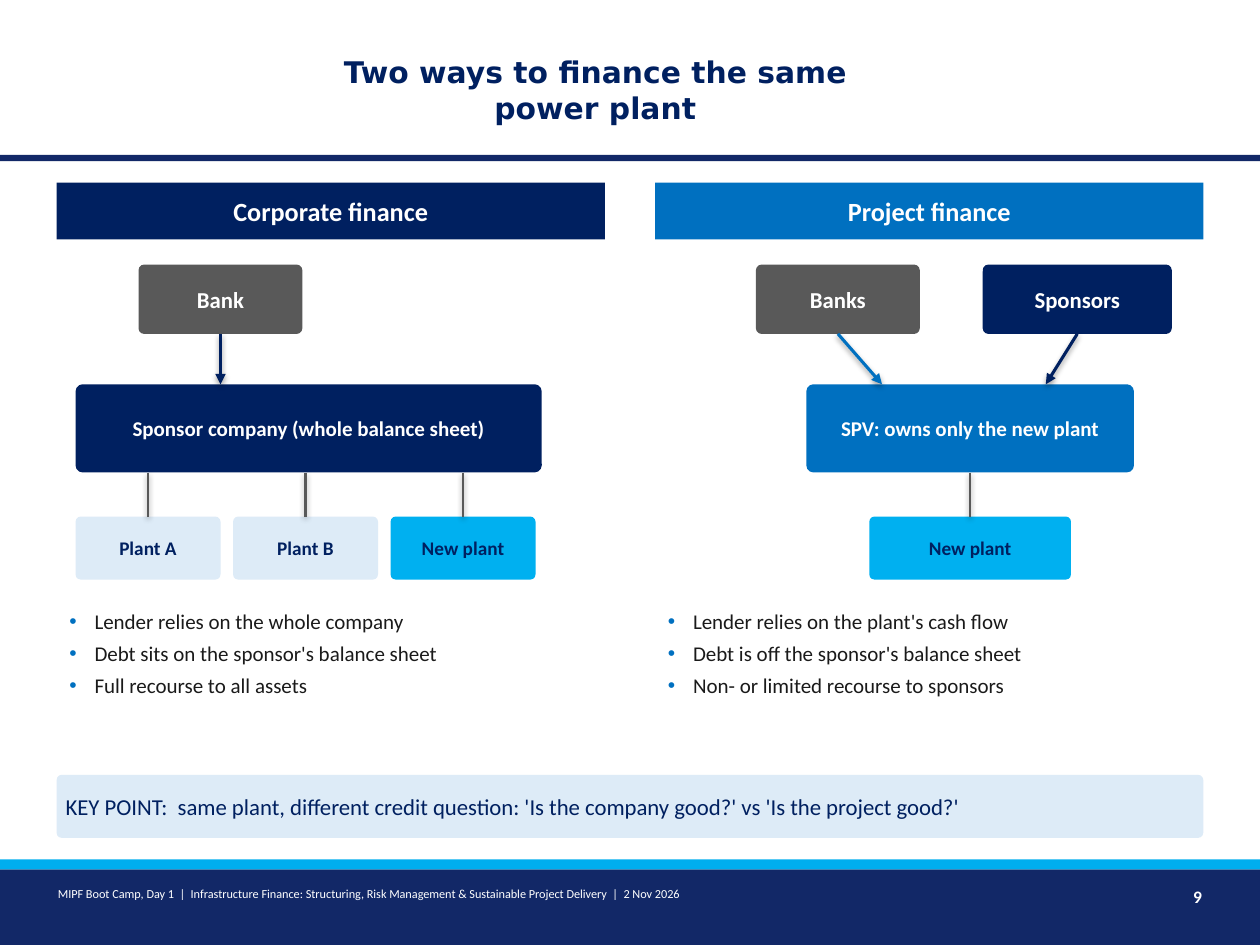
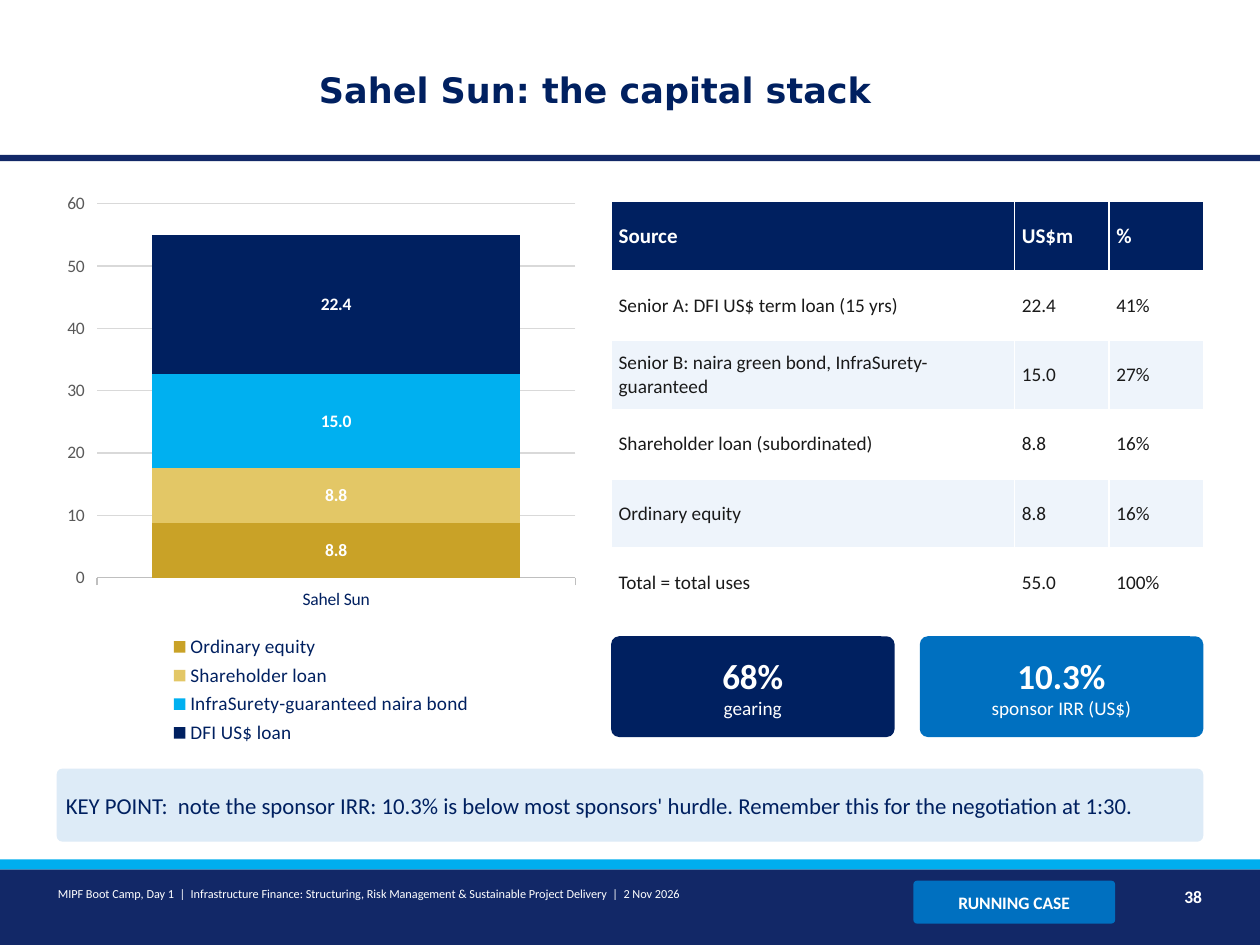
"""Builds two slides on corporate versus project finance and a capital stack."""
from dataclasses import dataclass

from lxml import etree
from pptx import Presentation
from pptx.chart.data import CategoryChartData
from pptx.dml.color import RGBColor
from pptx.enum import chart as charts, shapes, text
from pptx.oxml.ns import qn
from pptx.util import Pt


@dataclass(frozen=True)
class Theme:
    navy: str = "002060"
    band: str = "122867"
    stripe: str = "00AEEF"
    blue: str = "0070C0"
    sky: str = "00B0F0"
    pale: str = "DDEBF7"
    row_tint: str = "EEF4FB"
    grey: str = "595959"
    axis: str = "BFBFBF"
    grid: str = "D9D9D9"
    gold: str = "C9A227"
    sand: str = "E3C766"
    ink: str = "1A1A1A"
    white: str = "FFFFFF"
    title_font: str = "DejaVu Sans"
    font: str = "Calibri"
    footer: int = 7
    small: int = 10
    label: int = 11
    body: int = 12
    key: int = 13
    heading: int = 15
    figure: int = 20


T = Theme()
MARGIN, CONTENT_WIDTH = 32.4, 655.2
PANEL_WIDTH = 313.2
TITLE_BOX = (165.6, 15.84, 349.2, 70.56)
BANDS = [
    ((0, 88.56, 720, 3.6), T.band),
    ((0, 496.8, 720, 43.2), T.band),
    ((0, 491.04, 720, 5.76), T.stripe),
]
FOOTER = ("MIPF Boot Camp, Day 1  |  Infrastructure Finance: Structuring, "
          "Risk Management & Sustainable Project Delivery  |  2 Nov 2026")

TIERS = {
    "funder": (151.2, 39.6, T.key),
    "company": (219.6, 50.4, T.body),
    "plant": (295.2, 36, T.label),
}
PANELS = [
    {
        "left": MARGIN, "heading": "Corporate finance", "color": T.navy,
        "funders": [("Bank", 79.2, 93.6, T.grey, 126, T.navy)],
        "company": ("Sponsor company (whole balance sheet)", 43.2, 266.4),
        "plants": [("Plant A", 43.2, 82.8, T.pale),
                   ("Plant B", 133.2, 82.8, T.pale),
                   ("New plant", 223.2, 82.8, T.sky)],
        "points": ["Lender relies on the whole company",
                   "Debt sits on the sponsor's balance sheet",
                   "Full recourse to all assets"],
    },
    {
        "left": 374.4, "heading": "Project finance", "color": T.blue,
        "funders": [("Banks", 432, 93.6, T.grey, 504, T.blue),
                    ("Sponsors", 561.6, 108, T.navy, 597.6, T.navy)],
        "company": ("SPV: owns only the new plant", 460.8, 187.2),
        "plants": [("New plant", 496.8, 115.2, T.sky)],
        "points": ["Lender relies on the plant's cash flow",
                   "Debt is off the sponsor's balance sheet",
                   "Non- or limited recourse to sponsors"],
    },
]
FINANCE_KEY = ("KEY POINT:  same plant, different credit question: "
               "'Is the company good?' vs 'Is the project good?'")

STACK = [
    ("Ordinary equity", 8.8, T.gold),
    ("Shareholder loan", 8.8, T.sand),
    ("InfraSurety-guaranteed naira bond", 15.0, T.sky),
    ("DFI US$ loan", 22.4, T.navy),
]
SOURCES = [
    ("Source", "US$m", "%"),
    ("Senior A: DFI US$ term loan (15 yrs)", "22.4", "41%"),
    ("Senior B: naira green bond, InfraSurety-guaranteed", "15.0", "27%"),
    ("Shareholder loan (subordinated)", "8.8", "16%"),
    ("Ordinary equity", "8.8", "16%"),
    ("Total = total uses", "55.0", "100%"),
]
SOURCE_WIDTHS = (230.4, 54, 54)
ROW_HEIGHT = 39.6
RESULTS = [("68%", "gearing", T.navy), ("10.3%", "sponsor IRR (US$)", T.blue)]
STACK_KEY = ("KEY POINT:  note the sponsor IRR: 10.3% is below most sponsors' hurdle. "
             "Remember this for the negotiation at 1:30.")


def rgb(color):
    return RGBColor.from_string(color)


def points(values):
    return [Pt(value) for value in values]


def style_font(font, size, color, bold=False, name=T.font):
    font.name, font.size, font.bold = name, Pt(size), bold
    font.color.rgb = rgb(color)


def set_insets(target):
    target.margin_left = target.margin_right = Pt(4.32)
    target.margin_top = target.margin_bottom = Pt(2.16)


def write(shape, lines, align="LEFT", anchor="MIDDLE"):
    """Fill a shape with (text, size, color, bold) lines."""
    frame = shape.text_frame
    frame.word_wrap = True
    frame.vertical_anchor = text.MSO_ANCHOR[anchor]
    set_insets(frame)
    frame.text = "\n".join(line[0] for line in lines)
    for paragraph, line in zip(frame.paragraphs, lines):
        paragraph.alignment = text.PP_ALIGN[align]
        style_font(paragraph.font, *line[1:])


def add_box(slide, box, fill, lines=(), rounded=True, align="CENTER"):
    kind = shapes.MSO_SHAPE.ROUNDED_RECTANGLE if rounded else shapes.MSO_SHAPE.RECTANGLE
    shape = slide.shapes.add_shape(kind, *points(box))
    if rounded:
        shape.adjustments[0] = 0.08
    shape.shadow.inherit = False
    shape.fill.solid()
    shape.fill.fore_color.rgb = rgb(fill)
    shape.line.fill.background()
    if lines:
        write(shape, lines, align)
    return shape


def add_label(slide, box, line, align="LEFT"):
    write(slide.shapes.add_textbox(*points(box)), [line], align, "TOP")


def add_link(slide, upper, lower, color, width, start=None, end=None, arrow=False):
    """Join two boxes downwards; an end without a given x joins the middle of its side."""
    connector = slide.shapes.add_connector(
        shapes.MSO_CONNECTOR.STRAIGHT, Pt(start or 0), upper.top + upper.height,
        Pt(end or 0), lower.top)
    if start is None:
        connector.begin_connect(upper, 2)
    if end is None:
        connector.end_connect(lower, 0)
    connector.line.color.rgb = rgb(color)
    connector.line.width = Pt(width)
    if arrow:
        outline = connector.line._get_or_add_ln()
        etree.SubElement(outline, qn("a:tailEnd"), type="triangle")


def add_bands(master, slide):
    """Draw the shared bands and hand them to the slide master."""
    for number, (box, color) in enumerate(BANDS, start=100):
        band = add_box(slide, box, color, rounded=False)
        band.element.nvSpPr.cNvPr.set("id", str(number))
        master.shapes.element.append(band.element)


def place(shape, box):
    shape.left, shape.top, shape.width, shape.height = points(box)


def start_slide(presentation, layout, title, size, number):
    slide = presentation.slides.add_slide(presentation.slide_layouts.get_by_name(layout))
    heading = slide.shapes.title
    place(heading, TITLE_BOX)
    heading.text_frame.text = title
    heading.text_frame.auto_size = text.MSO_AUTO_SIZE.NONE
    heading.text_frame.vertical_anchor = text.MSO_ANCHOR.MIDDLE
    paragraph = heading.text_frame.paragraphs[0]
    paragraph.alignment = text.PP_ALIGN.CENTER
    style_font(paragraph.font, size, T.navy, True, T.title_font)
    add_label(slide, (28.8, 504, 489.6, 25.2), (FOOTER, T.footer, T.white))
    add_label(slide, (648, 504, 43.2, 25.2), (number, T.small, T.white, True), "RIGHT")
    return slide


def add_key_point(slide, top, height, message):
    add_box(slide, (MARGIN, top, CONTENT_WIDTH, height), T.pale,
            [(message, T.key, T.navy)], align="LEFT")


def fill_bullets(placeholder, left, items):
    place(placeholder, (left, 345.6, PANEL_WIDTH, 93.6))
    write(placeholder, [(item, T.body, T.ink) for item in items], anchor="TOP")
    placeholder.text_frame.auto_size = text.MSO_AUTO_SIZE.NONE
    for paragraph in placeholder.text_frame.paragraphs:
        properties = paragraph._p.get_or_add_pPr()
        properties.set("marL", str(Pt(17.28)))
        properties.set("indent", str(Pt(-14.4)))
        bullet_color = etree.Element(qn("a:buClr"))
        etree.SubElement(bullet_color, qn("a:srgbClr"), val=T.blue)
        bullet = etree.Element(qn("a:buChar"), char="•")
        for position, element in enumerate((bullet_color, bullet)):
            properties.insert(position, element)
        paragraph.space_before, paragraph.space_after = Pt(0), Pt(4)


def add_node(slide, tier, label, left, width, fill, color=T.white):
    top, height, size = TIERS[tier]
    return add_box(slide, (left, top, width, height), fill, [(label, size, color, True)])


def draw_panel(slide, panel, placeholder):
    add_box(slide, (panel["left"], 104.4, PANEL_WIDTH, 32.4), panel["color"],
            [(panel["heading"], T.heading, T.white, True)], rounded=False)
    company = add_node(slide, "company", *panel["company"], panel["color"])
    for *node, end, color in panel["funders"]:
        funder = add_node(slide, "funder", *node)
        add_link(slide, funder, company, color, 1.75, end=end, arrow=True)
    _, company_left, company_width = panel["company"]
    for label, left, width, fill in panel["plants"]:
        plant = add_node(slide, "plant", label, left, width, fill, T.navy)
        center = left + width / 2
        centered = abs(center - company_left - company_width / 2) < 0.1
        add_link(slide, company, plant, T.grey, 1.25, start=None if centered else center)
    fill_bullets(placeholder, panel["left"], panel["points"])


def draw_stack_chart(slide):
    data = CategoryChartData(number_format="0.0")
    data.categories = ["Sahel Sun"]
    for name, value, _ in STACK:
        data.add_series(name, [value])
    chart = slide.shapes.add_chart(charts.XL_CHART_TYPE.COLUMN_STACKED,
                                   *points((MARGIN, 104.4, 302.4, 324)), data).chart
    style_font(chart.font, T.label, T.navy)
    chart.has_title = False
    chart.has_legend = True
    chart.legend.position = charts.XL_LEGEND_POSITION.BOTTOM
    chart.legend.include_in_layout = False
    plot = chart.plots[0]
    plot.gap_width, plot.overlap, plot.vary_by_categories = 30, 100, False
    for series, (_, _, color) in zip(plot.series, STACK):
        series.format.fill.solid()
        series.format.fill.fore_color.rgb = rgb(color)
        labels = series.data_labels
        labels.show_value = True
        labels.position = charts.XL_LABEL_POSITION.CENTER
        labels.number_format, labels.number_format_is_linked = "0.0", False
        style_font(labels.font, T.small, T.white, True)
    category, value = chart.category_axis, chart.value_axis
    style_font(category.tick_labels.font, T.small, T.navy)
    style_font(value.tick_labels.font, T.small, T.grey)
    value.tick_labels.number_format = "0"
    value.tick_labels.number_format_is_linked = False
    value.minimum_scale, value.maximum_scale, value.major_unit = 0, 60, 10
    value.format.line.fill.background()
    for line, color in ((category.format.line, T.axis),
                        (value.major_gridlines.format.line, T.grid)):
        line.color.rgb = rgb(color)
        line.width = Pt(0.75)


def draw_sources_table(slide, left):
    box = (left, 115.2, sum(SOURCE_WIDTHS), ROW_HEIGHT * len(SOURCES))
    table = slide.shapes.add_table(len(SOURCES), len(SOURCE_WIDTHS), *points(box)).table
    for column, width in zip(table.columns, SOURCE_WIDTHS):
        column.width = Pt(width)
    for row, values in enumerate(SOURCES):
        header = row == 0
        fill = T.navy if header else T.white if row % 2 else T.row_tint
        for column, value in enumerate(values):
            cell = table.cell(row, column)
            cell.text = value
            cell.vertical_anchor = text.MSO_ANCHOR.MIDDLE
            set_insets(cell)
            cell.fill.solid()
            cell.fill.fore_color.rgb = rgb(fill)
            style_font(cell.text_frame.paragraphs[0].font, T.body if header else T.label,
                       T.white if header else T.ink, header)


def main():
    presentation = Presentation()
    presentation.slide_width, presentation.slide_height = Pt(720), Pt(540)

    finance = start_slide(presentation, "Two Content",
                          "Two ways to finance the same power plant", 17, "9")
    add_bands(presentation.slide_master, finance)
    for index, panel in enumerate(PANELS, start=1):
        draw_panel(finance, panel, finance.placeholders[index])
    add_key_point(finance, 442.8, 36, FINANCE_KEY)

    stack = start_slide(presentation, "Title Only", "Sahel Sun: the capital stack",
                        T.figure, "38")
    add_box(stack, (522, 503.28, 115.2, 24.48), T.blue,
            [("RUNNING CASE", T.small, T.white, True)])
    draw_stack_chart(stack)
    right_column = 349.2
    draw_sources_table(stack, right_column)
    for index, (figure, caption, color) in enumerate(RESULTS):
        add_box(stack, (right_column + index * 176.4, 363.6, 162, 57.6), color,
                [(figure, T.figure, T.white, True), (caption, T.label, T.white)])
    add_key_point(stack, 439.2, 41.76, STACK_KEY)
    presentation.save("out.pptx")


if __name__ == "__main__":
    main()
